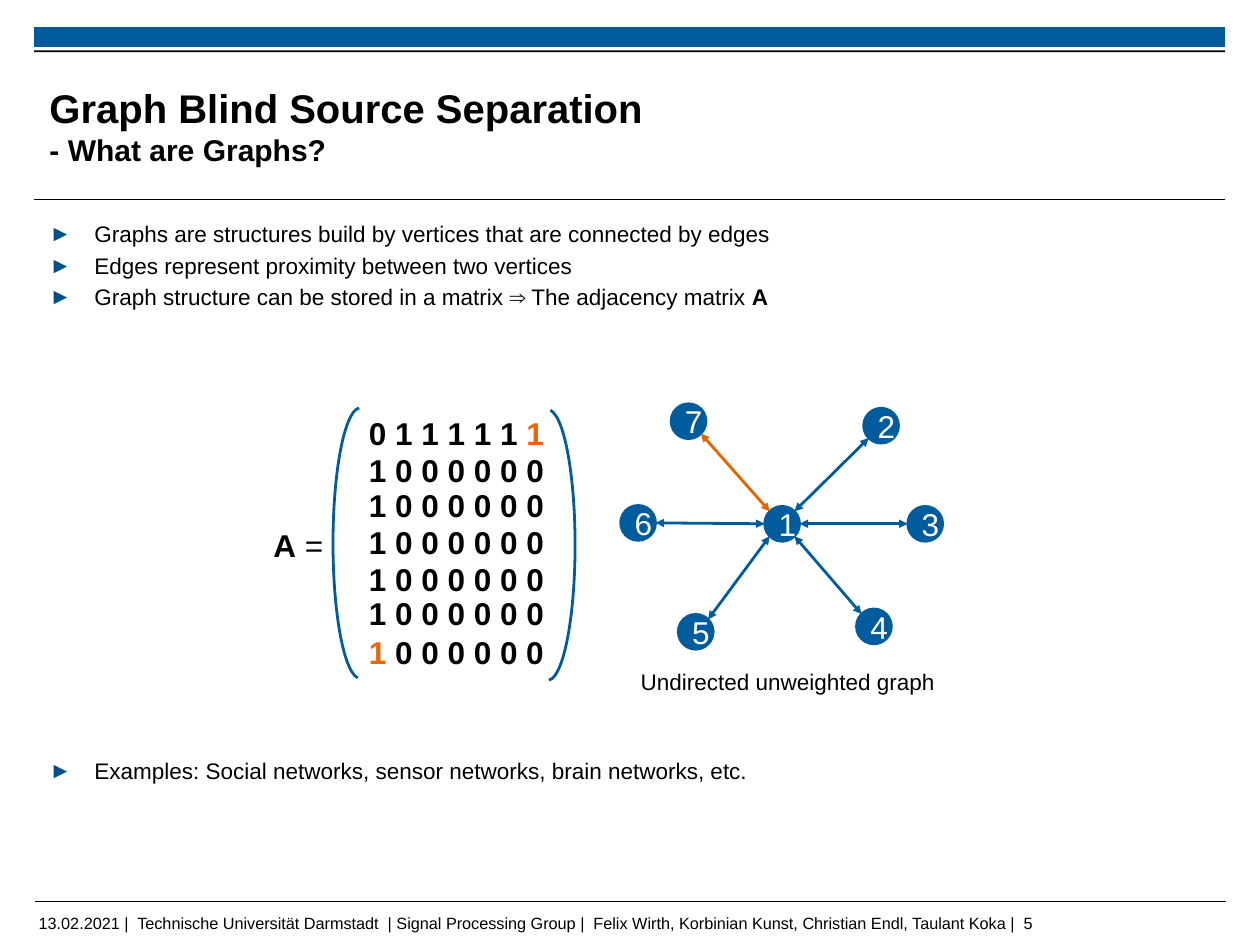
from math import atan2, cos, pi, sin

from lxml.etree import SubElement
from pptx import Presentation
from pptx.dml.color import RGBColor
from pptx.enum.shapes import MSO_CONNECTOR as Link, MSO_SHAPE as Shape
from pptx.enum.text import MSO_ANCHOR as Anchor, PP_ALIGN as Align
from pptx.oxml.ns import qn
from pptx.util import Inches, Pt

BLUE = RGBColor(0x00, 0x5C, 0x9C)
NAVY = RGBColor(0x00, 0x4E, 0x8A)
RUST = RGBColor(0xE7, 0x63, 0x00)
ORANGE = RGBColor(0xEC, 0x65, 0x00)
BLACK = RGBColor(0, 0, 0)
WHITE = RGBColor(255, 255, 255)

SIZE = 25.2
DOT = 0.39
HUB = (8.69, 5.82)
NODES = {
    "7": (7.65, 4.68), "2": (9.79, 4.73), "5": (7.73, 7.02),
    "4": (9.71, 6.96), "6": (7.09, 5.81), "3": (10.28, 5.82),
}
ROWS = (4.96, 5.35, 5.76, 6.17, 6.55)


def style(font, size, color=BLACK, bold=False):
    font.name = "Arial"
    font.size = Pt(size)
    font.color.rgb = color
    font.bold = bold


def add_runs(para, runs, size, color=BLACK, bold=False):
    style(para.font, size, color, bold)
    for words, tint, heavy in runs:
        run = para.add_run()
        run.text = words
        if tint != color:
            run.font.color.rgb = tint
        if heavy != bold:
            run.font.bold = heavy


def add_frame(slide, left, top, width, height, inset=True, wrap=False):
    box = slide.shapes.add_textbox(
        Inches(left), Inches(top), Inches(width), Inches(height))
    frame = box.text_frame
    frame.word_wrap = wrap
    if not inset:
        frame.margin_left = frame.margin_right = 0
        frame.margin_top = frame.margin_bottom = 0
    return frame


def add_label(slide, place, runs, size=SIZE, color=BLACK, bold=False, inset=True):
    if isinstance(runs, str):
        runs = [(runs, color, bold)]
    frame = add_frame(slide, *place, inset=inset)
    add_runs(frame.paragraphs[0], runs, size, color, bold)


def add_bullets(slide, top, height, items):
    frame = add_frame(slide, 0.55, top, 12.9, height, inset=False, wrap=True)
    for i, runs in enumerate(items):
        para = frame.add_paragraph() if i else frame.paragraphs[0]
        para.space_after = Pt(3.6)
        props = para._p.get_or_add_pPr()
        props.set("marL", str(Inches(0.5)))
        props.set("indent", str(-Inches(0.5)))
        tint = SubElement(props, qn("a:buClr"))
        SubElement(tint, qn("a:srgbClr")).set("val", str(NAVY))
        SubElement(props, qn("a:buFont")).set("typeface", "Arial")
        SubElement(props, qn("a:buChar")).set("char", "►")
        add_runs(para, runs, 18)


def add_shape(slide, kind, left, top, width, height, fill=None, line=None, weight=2):
    shape = slide.shapes.add_shape(
        kind, Inches(left), Inches(top), Inches(width), Inches(height))
    shape.shadow.inherit = False
    if fill is None:
        shape.fill.background()
    else:
        shape.fill.solid()
        shape.fill.fore_color.rgb = fill
    if line is None:
        shape.line.fill.background()
    else:
        shape.line.color.rgb = line
        shape.line.width = Pt(weight)
    return shape


def add_line(slide, start, end, color=BLACK, weight=0.6, arrows=False):
    line = slide.shapes.add_connector(
        Link.STRAIGHT, *(Inches(v) for v in (*start, *end)))
    line.line.color.rgb = color
    line.line.width = Pt(weight)
    if arrows:
        for tag in ("a:headEnd", "a:tailEnd"):
            SubElement(line.line._get_or_add_ln(), qn(tag)).set("type", "triangle")
    SubElement(line._element.spPr, qn("a:effectLst"))


def add_node(slide, name, center):
    x, y = center
    node = add_shape(slide, Shape.OVAL, x - DOT / 2, y - DOT / 2, DOT, DOT, BLUE, BLUE)
    node.text_frame.vertical_anchor = Anchor.MIDDLE
    para = node.text_frame.paragraphs[0]
    para.alignment = Align.CENTER
    add_runs(para, [(name, WHITE, False)], SIZE, WHITE)


def add_edge(slide, center, color):
    (x, y), (hx, hy) = center, HUB
    angle = round(atan2(y - hy, x - hx) / (pi / 4)) * pi / 4
    dx, dy = DOT / 2 * cos(angle), DOT / 2 * sin(angle)
    add_line(slide, (hx + dx, hy + dy), (x - dx, y - dy), color, 2.25, arrows=True)


def add_arc(slide, left, top, turn=0):
    arc = add_shape(slide, Shape.ARC, left, top, 0.61, 3.01, line=BLUE, weight=2.25)
    arc.adjustments[0] = 162.71
    arc.adjustments[1] = 53.66
    arc.rotation = turn


def add_graph(slide):
    add_node(slide, "1", HUB)
    for name, center in NODES.items():
        add_node(slide, name, center)
    for name, center in NODES.items():
        add_edge(slide, center, RUST if name == "7" else BLUE)
    add_label(slide, (7.02, 7.37, 3.5, 0.4), "Undirected unweighted graph", 18)


def add_matrix(slide):
    add_arc(slide, 3.7, 4.53, 180)
    add_arc(slide, 5.78, 4.55)
    first = [("0 1 1 1 1 1 ", BLACK, True), ("1", ORANGE, True)]
    last = [("1", ORANGE, True), (" 0 0 0 0 0 0", BLACK, True)]
    rows = [(4.55, first), *((top, "1 0 0 0 0 0 0") for top in ROWS), (6.98, last)]
    for top, runs in rows:
        add_label(slide, (4, top, 2.17, 0.53), runs, bold=True)
    add_label(slide, (2.94, 5.8, 0.76, 0.53), [("A", BLACK, True), (" =", BLACK, False)])


def add_base(slide):
    add_line(slide, (0.39, 10.01), (13.62, 10.01))
    add_line(slide, (0.38, 2.22), (13.61, 2.22))
    add_shape(slide, Shape.RECTANGLE, 0.38, 0.3, 13.23, 0.22, BLUE)
    add_shape(slide, Shape.RECTANGLE, 0.38, 0.56, 13.23, 0.02, BLACK)
    foot = ("13.02.2021 |  Technische Universität Darmstadt  | Signal Processing Group |  "
            "Felix Wirth, Korbinian Kunst, Christian Endl, Taulant Koka |  5")
    add_label(slide, (0.43, 10.15, 11.15, 0.22), foot, 13, inset=False)


def add_title(slide):
    frame = add_frame(slide, 0.55, 0.75, 10.53, 1.28, inset=False, wrap=True)
    frame.vertical_anchor = Anchor.MIDDLE
    add_runs(frame.paragraphs[0], [("Graph Blind Source Separation", BLACK, True)],
             32, bold=True)
    add_runs(frame.add_paragraph(), [("- What are Graphs?", BLACK, True)], 24, bold=True)


def main():
    """Build the slide on graphs and their adjacency matrix."""
    deck = Presentation()
    deck.slide_width, deck.slide_height = Inches(14), Inches(10.5)
    slide = deck.slides.add_slide(deck.slide_layouts[6])
    add_base(slide)
    add_title(slide)
    add_bullets(slide, 2.45, 1.1, [
        [("Graphs are structures build by vertices that are connected by edges", BLACK, False)],
        [("Edges represent proximity between two vertices", BLACK, False)],
        [("Graph structure can be stored in a matrix ⇒ The adjacency matrix ", BLACK, False),
         ("A", BLACK, True)],
    ])
    add_bullets(slide, 8.41, 0.4, [
        [("Examples: Social networks, sensor networks, brain networks, etc.", BLACK, False)],
    ])
    add_graph(slide)
    add_matrix(slide)
    deck.save("out.pptx")


main()
